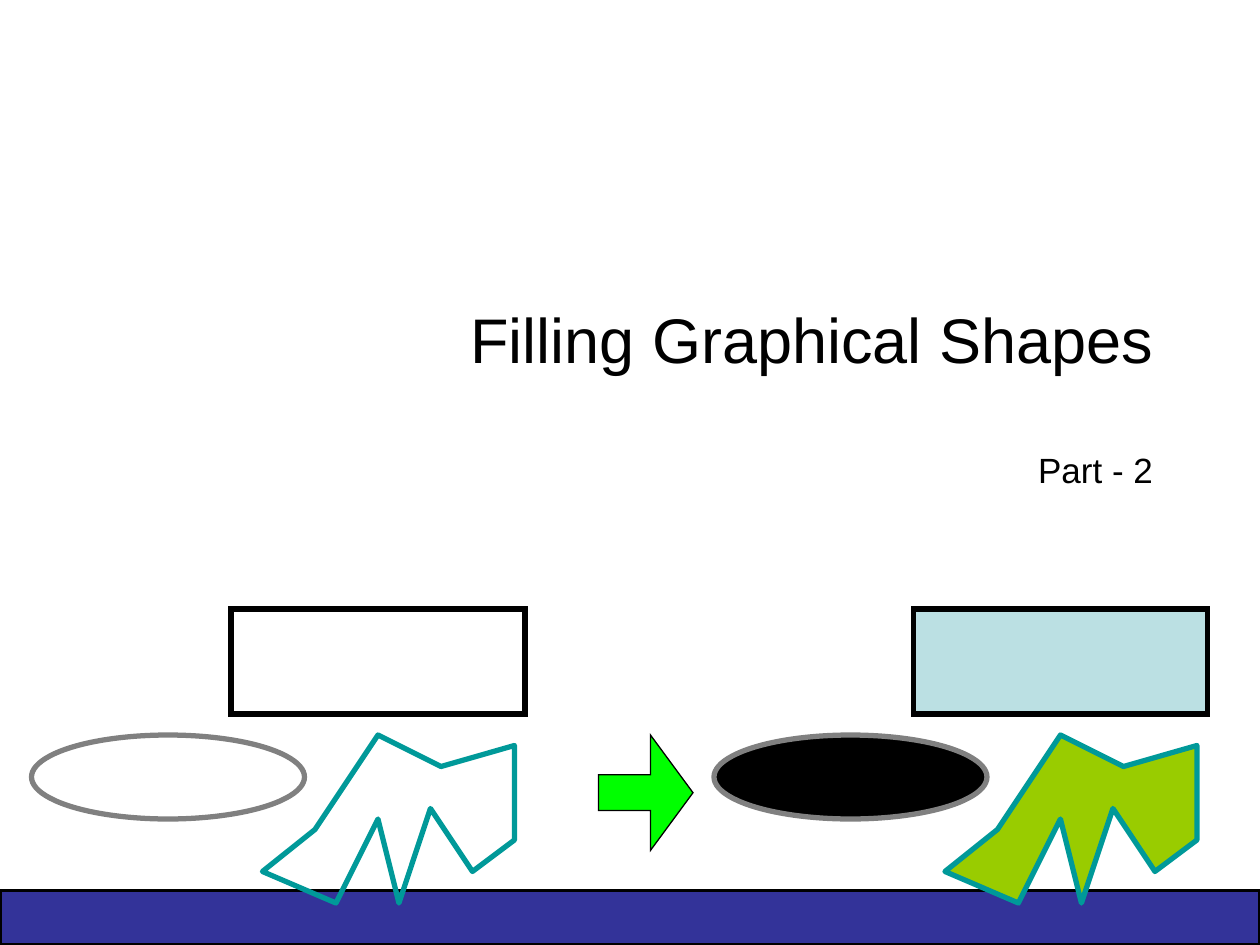
import pptx
import pptx.dml.color
import pptx.enum.shapes
import pptx.enum.text
import pptx.oxml
import pptx.oxml.ns
import pptx.util

Pt = pptx.util.Pt
RGBColor = pptx.dml.color.RGBColor
Shapes = pptx.enum.shapes.MSO_SHAPE

BLACK = RGBColor(0x00, 0x00, 0x00)
NAVY = RGBColor(0x33, 0x33, 0x99)
PALE_BLUE = RGBColor(0xBB, 0xE0, 0xE3)
GRAY = RGBColor(0x80, 0x80, 0x80)
LIME = RGBColor(0x99, 0xCC, 0x00)
TEAL = RGBColor(0x00, 0x99, 0x99)
GREEN = RGBColor(0x00, 0xFF, 0x00)

POLYGON = [(180, 474), (216, 420), (252, 438), (294, 426), (294, 480), (270, 498),
           (246, 462), (228, 516), (216, 468), (192, 516), (150, 498)]
GROUP_OFFSET = 390


class SlideBuilder:
    font = "Arial"

    def __init__(self, page):
        self.page = page

    def paint(self, shape, fill, line, width):
        shape.shadow.inherit = False
        if fill is None:
            shape.fill.background()
        else:
            shape.fill.solid()
            shape.fill.fore_color.rgb = fill
        shape.line.color.rgb = line
        shape.line.width = Pt(width)

    def preset(self, kind, left, top, width, height, fill, line, line_width, adjust=()):
        shape = self.page.shapes.add_shape(kind, Pt(left), Pt(top), Pt(width), Pt(height))
        for index, value in enumerate(adjust):
            shape.adjustments[index] = value
        self.paint(shape, fill, line, line_width)
        # Square corners on the outline
        namespace = pptx.oxml.ns.nsdecls("a")
        shape.line._get_or_add_ln().append(
            pptx.oxml.parse_xml(f'<a:miter {namespace} lim="800000"/>'))

    def polygon(self, points, fill, line, line_width):
        builder = self.page.shapes.build_freeform(*points[0], scale=Pt(1))
        builder.add_line_segments(points[1:], close=True)
        self.paint(builder.convert_to_shape(), fill, line, line_width)

    def text(self, left, top, width, height, lines):
        box = self.page.shapes.add_textbox(Pt(left), Pt(top), Pt(width), Pt(height))
        frame = box.text_frame
        frame.word_wrap = True
        frame.vertical_anchor = pptx.enum.text.MSO_ANCHOR.MIDDLE
        for index, (words, size, space_before) in enumerate(lines):
            para = frame.add_paragraph() if index else frame.paragraphs[0]
            para.alignment = pptx.enum.text.PP_ALIGN.RIGHT
            para.space_before = Pt(space_before)
            span = para.add_run()
            span.text = words
            span.font.name = self.font
            span.font.size = Pt(size)
            span.font.color.rgb = BLACK

    def shape_group(self, offset, box_fill, oval_fill, polygon_fill):
        self.preset(Shapes.RECTANGLE, 132 + offset, 348, 168, 60, box_fill, BLACK, 3)
        self.preset(Shapes.OVAL, 18 + offset, 420, 156, 48, oval_fill, GRAY, 3)
        self.polygon([(x + offset, y) for x, y in POLYGON], polygon_fill, TEAL, 3)


def main():
    deck = pptx.Presentation()
    deck.slide_width, deck.slide_height = Pt(720), Pt(540)
    slide = SlideBuilder(deck.slides.add_slide(deck.slide_layouts[6]))

    # Footer band
    slide.preset(Shapes.RECTANGLE, 0, 509, 720, 31, NAVY, BLACK, 2)

    # Title and part number
    slide.text(54, 168, 612, 116,
               [("Filling Graphical Shapes", 36, 0), ("Part - 2", 20, 41.4)])

    # Filled shapes, then their outlines
    slide.shape_group(GROUP_OFFSET, PALE_BLUE, BLACK, LIME)
    slide.shape_group(0, None, None, None)

    # Arrow from outlines to filled shapes
    slide.preset(Shapes.RIGHT_ARROW, 342, 420, 54, 66, GREEN, BLACK, 0.75,
                 adjust=(0.31, 0.45))

    deck.save("out.pptx")


if __name__ == "__main__":
    main()
